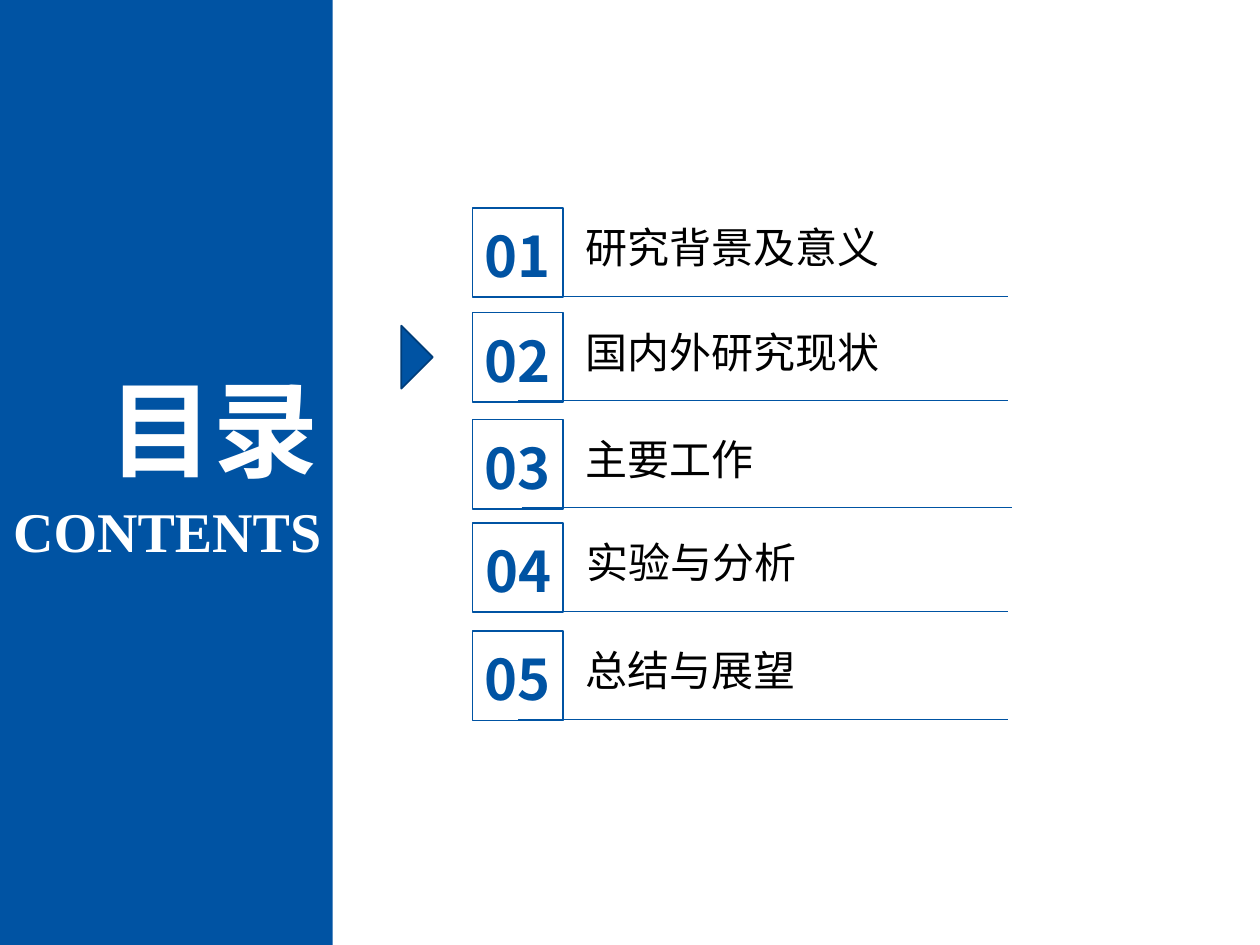
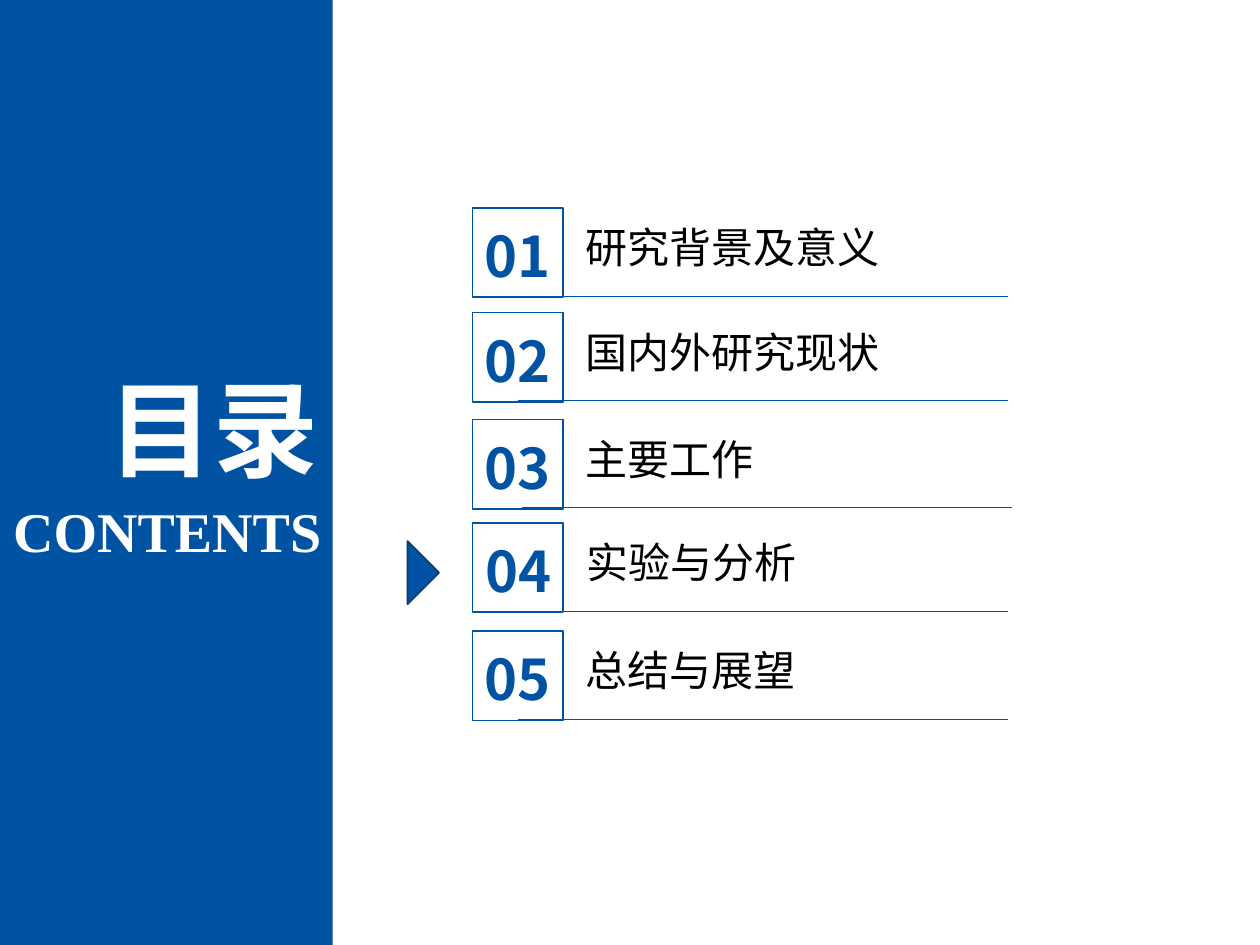
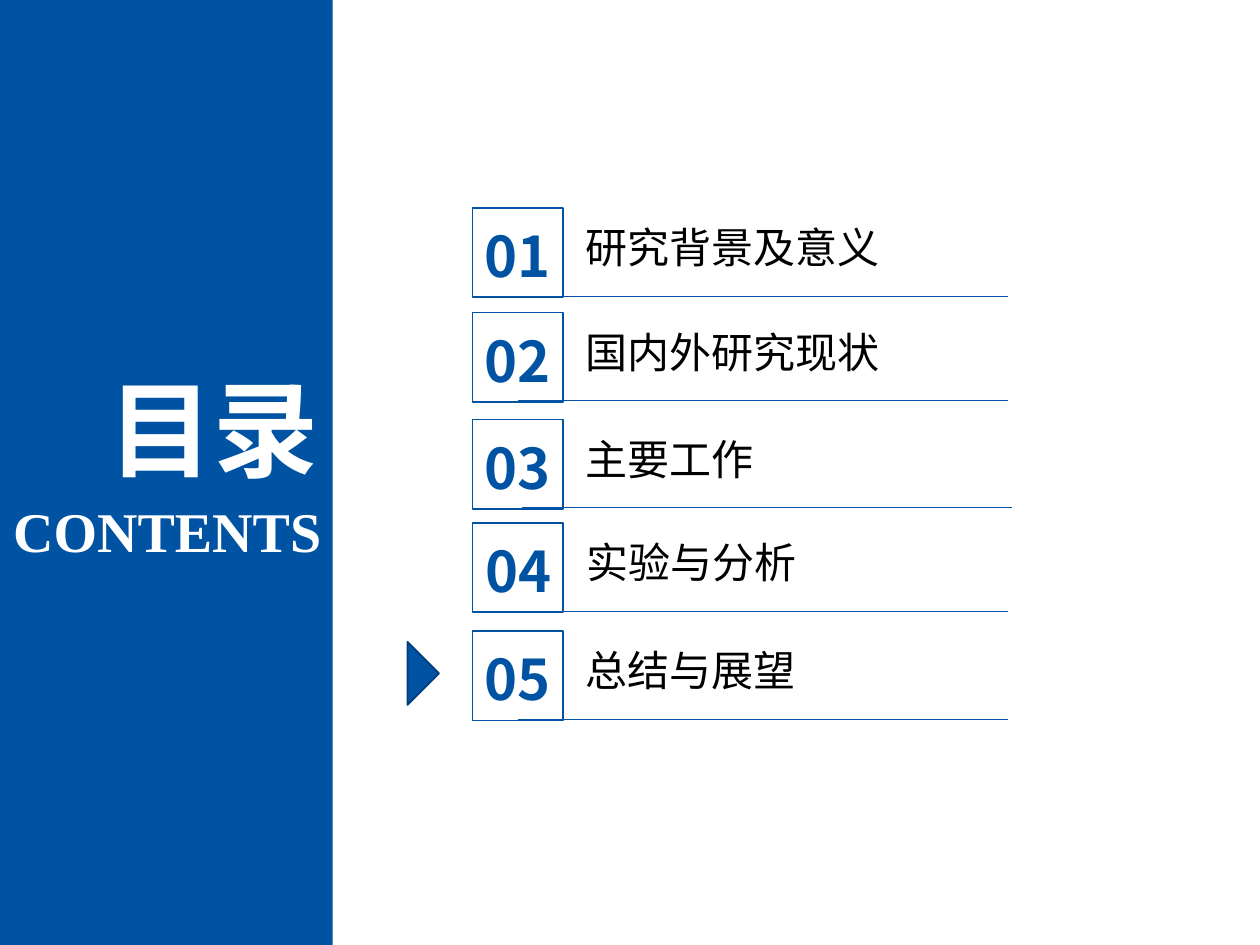
"""Build three contents slides, each marking a different chapter."""
from dataclasses import dataclass

from lxml.etree import SubElement
from pptx import Presentation
from pptx.dml.color import RGBColor
from pptx.enum.shapes import MSO_CONNECTOR as Connector, MSO_SHAPE as Preset
from pptx.enum.text import MSO_ANCHOR as Anchor, MSO_AUTO_SIZE as AutoSize, PP_ALIGN as Align
from pptx.oxml.ns import qn
from pptx.shapes.autoshape import Shape
from pptx.shapes.shapetree import GroupShapes, SlideShapes
from pptx.slide import Slide
from pptx.text.text import TextFrame
from pptx.util import Pt

PX = 9144
SLIDE_WIDTH, SLIDE_HEIGHT = 1000, 750
TITLE_ONLY = 5

BLUE = RGBColor(0x00, 0x53, 0xA3)
DARK_BLUE = RGBColor(0x00, 0x3D, 0x79)
WHITE = RGBColor(0xFF, 0xFF, 0xFF)
BLACK = RGBColor(0x00, 0x00, 0x00)

SANS = "Noto Sans CJK SC"
SERIF = "Times New Roman"


@dataclass(frozen=True)
class Box:
    left: int
    top: int
    width: int
    height: int

    def emu(self) -> tuple[int, int, int, int]:
        return self.left * PX, self.top * PX, self.width * PX, self.height * PX


@dataclass(frozen=True)
class TextStyle:
    size: int
    color: RGBColor
    font: str = SANS
    bold: bool = True
    align: Align = Align.LEFT


@dataclass(frozen=True)
class Chapter:
    number: str
    label: str
    top: int
    font: str = SANS
    shift: int = 0
    label_width: int = 308
    rule_left: int = 411


@dataclass(frozen=True)
class Marker:
    left: int
    top: int


HEADING = TextStyle(60, WHITE, align=Align.RIGHT)
SUBHEADING = TextStyle(32, WHITE, SERIF, align=Align.RIGHT)
NUMBER = TextStyle(32, BLUE, align=Align.CENTER)

CHAPTERS = (
    Chapter("01", "研究背景及意义", 165, font="Arial"),
    Chapter("02", "国内外研究现状", 248),
    Chapter("03", "主要工作", 333, label_width=514, rule_left=414),
    Chapter("04", "实验与分析", 415, shift=1),
    Chapter("05", "总结与展望", 501),
)
MARKERS = (Marker(306, 271), Marker(311, 442), Marker(311, 522))


def write(frame: TextFrame, text: str, style: TextStyle) -> None:
    frame.text = text
    frame.word_wrap = True
    frame.auto_size = AutoSize.SHAPE_TO_FIT_TEXT
    frame.vertical_anchor = Anchor.TOP
    paragraph = frame.paragraphs[0]
    paragraph.alignment = style.align
    run = paragraph.runs[0]
    run.font.size = Pt(style.size)
    run.font.bold = style.bold
    run.font.color.rgb = style.color
    run.font.name = style.font
    SubElement(run._r.get_or_add_rPr(), qn("a:ea"), typeface=SANS)


def add_text(shapes: SlideShapes | GroupShapes, box: Box, text: str, style: TextStyle) -> None:
    write(shapes.add_textbox(*box.emu()).text_frame, text, style)


def add_preset(shapes: SlideShapes | GroupShapes, preset: Preset, box: Box,
               fill: RGBColor | None = None, line: RGBColor | None = None) -> Shape:
    shape = shapes.add_shape(preset, *box.emu())
    shape.shadow.inherit = False
    if fill is None:
        shape.fill.background()
    else:
        shape.fill.solid()
        shape.fill.fore_color.rgb = fill
    if line is None:
        shape.line.fill.background()
    else:
        shape.line.color.rgb = line
        shape.line.width = Pt(1)
    return shape


def add_rule(shapes: SlideShapes, left: int, top: int, width: int) -> None:
    rule = shapes.add_connector(Connector.STRAIGHT, left * PX, top * PX,
                                (left + width) * PX, top * PX)
    rule.line.color.rgb = BLUE
    rule.line.width = Pt(0.5)
    SubElement(rule.element.spPr, qn("a:effectLst"))


def add_sidebar(slide: Slide) -> None:
    band = add_preset(slide.shapes, Preset.RECTANGLE, Box(0, 0, 264, SLIDE_HEIGHT), fill=BLUE)
    heading = slide.shapes.title
    heading.element.addprevious(band.element)
    heading.left, heading.top, heading.width, heading.height = Box(73, 284, 190, 111).emu()
    write(heading.text_frame, "目录", HEADING)
    add_text(slide.shapes, Box(-20, 389, 285, 64), "CONTENTS", SUBHEADING)


def add_chapter(slide: Slide, chapter: Chapter) -> None:
    row = slide.shapes.add_group_shape().shapes
    text_top = chapter.top + 6
    add_text(row, Box(455 + chapter.shift, text_top, chapter.label_width, 50), chapter.label,
             TextStyle(24, BLACK, chapter.font, bold=False))
    add_text(row, Box(352 + chapter.shift, text_top, 117, 64), chapter.number, NUMBER)
    add_preset(row, Preset.RECTANGLE, Box(375, chapter.top, 72, 71), line=BLUE)
    add_rule(slide.shapes, chapter.rule_left, chapter.top + 70, 389)


def add_marker(slide: Slide, marker: Marker) -> None:
    arrow = add_preset(slide.shapes, Preset.ISOSCELES_TRIANGLE,
                       Box(marker.left, marker.top, 50, 25), fill=BLUE, line=DARK_BLUE)
    arrow.rotation = 90


def main() -> None:
    deck = Presentation()
    deck.slide_width, deck.slide_height = SLIDE_WIDTH * PX, SLIDE_HEIGHT * PX
    for marker in MARKERS:
        slide = deck.slides.add_slide(deck.slide_layouts[TITLE_ONLY])
        add_sidebar(slide)
        for chapter in CHAPTERS:
            add_chapter(slide, chapter)
        add_marker(slide, marker)
    deck.save("out.pptx")


if __name__ == "__main__":
    main()
